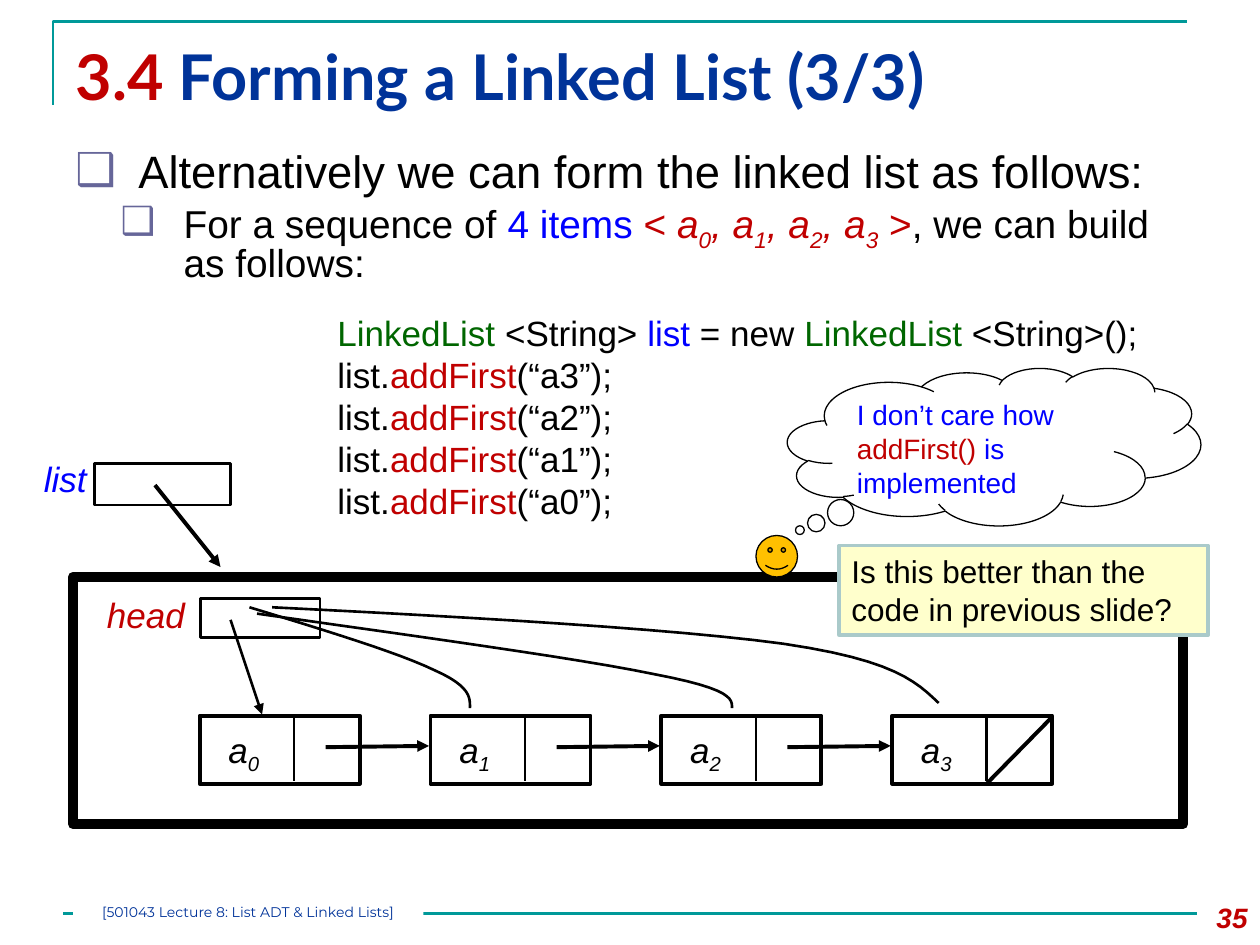
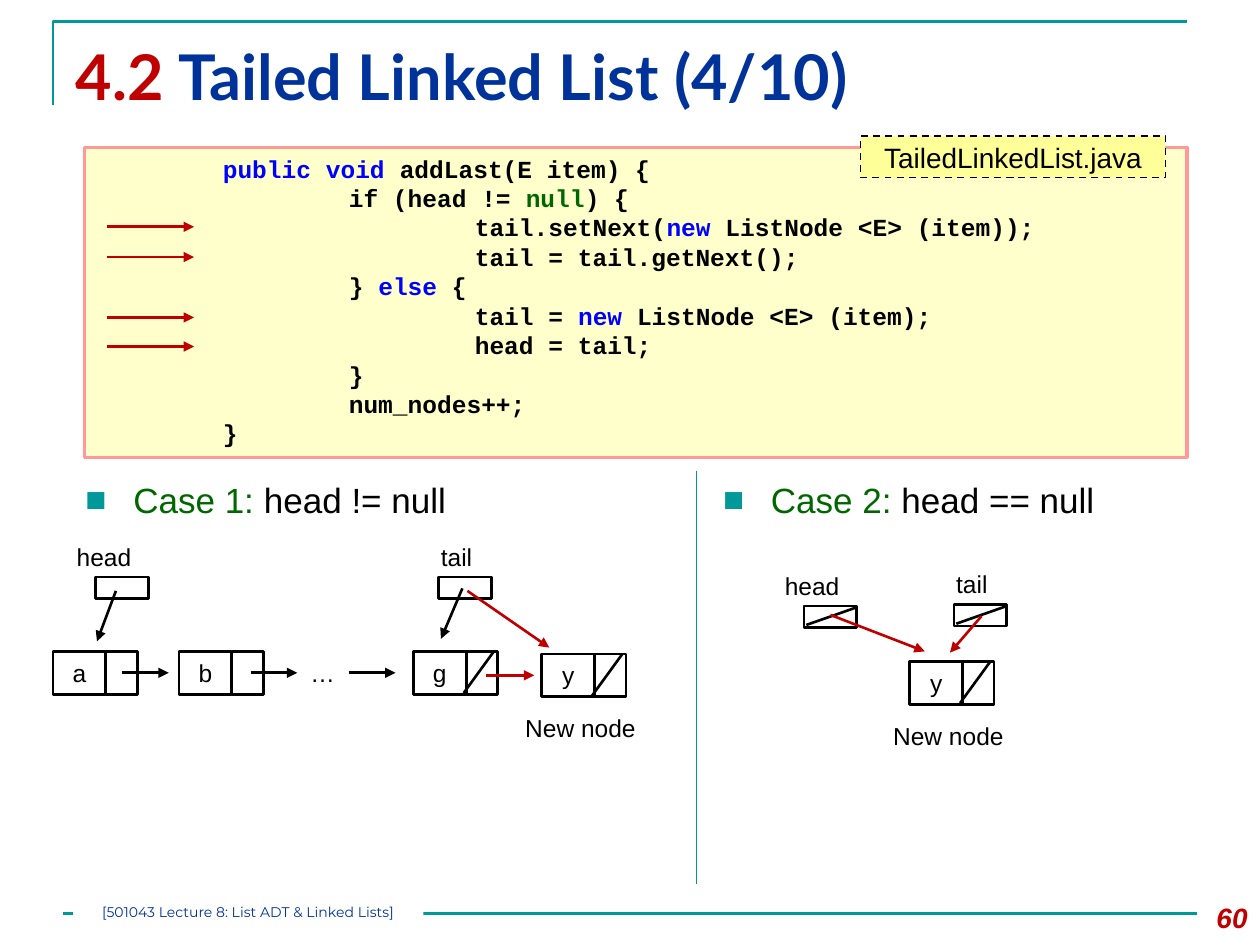
from dataclasses import dataclass

from lxml.etree import SubElement
from pptx import Presentation
from pptx.dml.color import RGBColor
from pptx.enum.dml import MSO_LINE
from pptx.enum.shapes import MSO_CONNECTOR, MSO_SHAPE
from pptx.enum.text import MSO_ANCHOR, MSO_AUTO_SIZE, PP_ALIGN
from pptx.oxml.ns import qn
from pptx.util import Inches, Pt


@dataclass(frozen=True)
class Theme:
    black: str = "000000"
    white: str = "FFFFFF"
    red: str = "C00000"
    blue: str = "0000FF"
    navy: str = "003399"
    green: str = "006600"
    teal: str = "009999"
    slate: str = "666699"
    cream: str = "FFFFCC"
    lemon: str = "FFFF99"
    pink: str = "FF9999"
    mist: str = "AACACA"
    gold: str = "FFC000"
    sans: str = "Arial"
    mono: str = "Courier New"
    head: str = "Lato"
    foot: str = "Montserrat"
    title: float = 36
    lead: float = 25.9
    sub: float = 22.2
    body: float = 20
    note: float = 18
    tag: float = 16
    small: float = 14
    tiny: float = 8


T = Theme()

# Content: a run is plain text or (text, colour, style); i = italic, s = subscript
FOOTER = "[501043 Lecture 8: List ADT & Linked Lists]"
FORM_TITLE = [("3.4 ", T.red), ("Forming a Linked List (3/3)", T.navy)]
TAIL_TITLE = [("4.2 ", T.red), ("Tailed Linked List (4/10)", T.navy)]

ITEMS = [("<", T.red)]
for num in range(4):
    ITEMS += [(", a" if num else " a", T.red, "i"), (str(num), T.red, "is")]
ITEMS += [(" >", T.red)]
POINTS = [
    ["Alternatively we can form the linked list as follows:"],
    ["For a sequence of ", ("4 items ", T.blue), *ITEMS, ", we can build as follows:"],
]
BUILD = [[("LinkedList ", T.green), "<String> ", ("list ", T.blue), "= new ",
          ("LinkedList ", T.green), "<String>();"]]
BUILD += [["list.", ("addFirst", T.red), f"(“a{num}”);"] for num in (3, 2, 1, 0)]
THOUGHT = [[("I don’t care how ", T.blue), ("addFirst() ", T.red),
            ("is implemented", T.blue)]]
ASK = "Is this better than the code in previous slide?"

CODE = [
    ["\t", ("public void ", T.blue), "addLast(E item) {"],
    ["\t\tif (head != ", ("null", T.green), ") {"],
    ["\t\t\ttail.setNext(", ("new", T.blue), " ListNode <E> (item));"],
    ["\t\t\ttail = tail.getNext();"],
    ["\t\t} ", ("else", T.blue), " {"],
    ["\t\t\ttail = ", ("new", T.blue), " ListNode <E> (item);"],
    ["\t\t\thead = tail;"],
    ["\t\t}"],
    ["\t\tnum_nodes++;"],
    ["\t}"],
]
FILE = "TailedLinkedList.java"
MARKS = [1.8, 2.04, 2.52, 2.75]  # heights of the arrows beside the code
CASES = [(0.58, 4.2, "Case 1: ", "head != null"),
         (5.64, 3.47, "Case 2: ", "head == null")]

# Old positions of the head pointer: a start, then Bezier segments
CURVES = [
    [(2.16, 4.82), [(3.75, 4.9), (5.34, 4.99), (6.22, 5.11)],
     [(7.1, 5.24), (7.27, 5.41), (7.45, 5.58)]],
    [(2.04, 4.87), [(3.3, 5.05), (4.56, 5.22), (5.19, 5.35)],
     [(5.82, 5.47), (5.81, 5.55), (5.81, 5.62)]],
    [(1.98, 4.82), [(2.57, 5), (3.16, 5.18), (3.45, 5.32)],
     [(3.74, 5.45), (3.73, 5.54), (3.73, 5.62)]],
]


# Text helpers
def ink(color):
    return RGBColor.from_string(color)


def style(run, color, size, font, bold, marks):
    run.font.size = Pt(size)
    run.font.name = font
    run.font.bold = bold
    run.font.italic = "i" in marks
    run.font.color.rgb = ink(color)
    if "s" in marks:
        run._r.get_or_add_rPr().set("baseline", "-25000")


def fill_para(para, runs, size, font=T.sans, bold=False, align=PP_ALIGN.LEFT):
    para.alignment = align
    for part in runs:
        text, color, marks = ((part, T.black) if isinstance(part, str) else part + ("",) * (3 - len(part)))[:3] \
            if not isinstance(part, str) else (part, T.black, "")
        run = para.add_run()
        run.text = text
        style(run, color, size, font, bold, marks)


def write(shape, paras, size, anchor=MSO_ANCHOR.TOP, tabs=(), **look):
    frame = shape.text_frame
    frame.word_wrap = True
    frame.auto_size = MSO_AUTO_SIZE.NONE
    frame.vertical_anchor = anchor
    for num, runs in enumerate(paras):
        para = frame.add_paragraph() if num else frame.paragraphs[0]
        if tabs:
            stops = SubElement(para._p.get_or_add_pPr(), qn("a:tabLst"))
            for stop in tabs:
                SubElement(stops, qn("a:tab"), pos=str(Inches(stop)), algn="l")
        fill_para(para, runs, size, **look)
    return shape


def bullet(para, sign, color, left, hang):
    props = para._p.get_or_add_pPr()
    props.set("marL", str(Inches(left)))
    props.set("indent", str(-Inches(hang)))
    SubElement(SubElement(props, qn("a:buClr")), qn("a:srgbClr"), val=color)
    SubElement(props, qn("a:buFont"), typeface=T.sans)
    SubElement(props, qn("a:buChar"), char=sign)


def label(slide, x, y, w, h, paras, size, **look):
    box = slide.shapes.add_textbox(*map(Inches, (x, y, w, h)))
    return write(box, paras, size, **look)


# Shape helpers
def paint(shape, fill, line, width):
    shape.shadow.inherit = False
    if fill:
        shape.fill.solid()
        shape.fill.fore_color.rgb = ink(fill)
    else:
        shape.fill.background()
    if line:
        shape.line.color.rgb = ink(line)
        shape.line.width = Pt(width)
    else:
        shape.line.fill.background()
    return shape


def box(slide, x, y, w, h, fill=None, line=T.black, width=1.5, kind=MSO_SHAPE.RECTANGLE):
    shape = slide.shapes.add_shape(kind, *map(Inches, (x, y, w, h)))
    return paint(shape, fill, line, width)


def link(slide, start, end, color=T.black, width=1.5, arrow=False):
    line = slide.shapes.add_connector(MSO_CONNECTOR.STRAIGHT, *map(Inches, start + end))
    line.line.color.rgb = ink(color)
    line.line.width = Pt(width)
    if arrow:
        SubElement(line.line._get_or_add_ln(), qn("a:tailEnd"), type="triangle")
    SubElement(line._element.spPr, qn("a:effectLst"))


def trace(slide, dots, color):
    pen = slide.shapes.build_freeform(*map(Inches, dots[0]))
    pen.add_line_segments([(Inches(x), Inches(y)) for x, y in dots[1:]], close=False)
    paint(pen.convert_to_shape(), None, color, 1.5)


def curve(slide, start, *parts, steps=12):
    dots = [start]
    for part in parts:
        knots = [dots[-1], *part]
        for step in range(1, steps + 1):
            t = step / steps
            rates = ((1 - t) ** 3, 3 * t * (1 - t) ** 2, 3 * t * t * (1 - t), t ** 3)
            dots.append(tuple(sum(r * k[axis] for r, k in zip(rates, knots))
                              for axis in (0, 1)))
    trace(slide, dots, T.black)


# Shared frame: title, rules, footer and page number
def start(deck, title, page):
    slide = deck.slides.add_slide(deck.slide_layouts[5])
    trace(slide, [(0.42, 0.83), (0.42, 0.17), (9.42, 0.17)], T.teal)
    link(slide, (0.5, 7.25), (9.5, 7.25), T.teal)
    head = slide.shapes.title
    head.left, head.top, head.width, head.height = map(Inches, (0.5, 0.25, 9, 0.86))
    write(head, [title], T.title, font=T.head, bold=True)
    label(slide, 9.33, 7.1, 0.67, 0.4, [[(str(page), T.red, "i")]], T.tag,
          bold=True, align=PP_ALIGN.RIGHT)
    foot = box(slide, 0.58, 7.17, 2.78, 0.2, T.white, None)
    frame = foot.text_frame
    frame.margin_left = frame.margin_right = frame.margin_top = frame.margin_bottom = 0
    write(foot, [[(FOOTER, T.navy)]], T.tiny, font=T.foot, align=PP_ALIGN.CENTER)
    return slide


def form_slide(deck):
    slide = start(deck, FORM_TITLE, 35)

    # Bulleted points
    shape = slide.shapes.add_textbox(*map(Inches, (0.5, 1.17, 9, 1.17)))
    frame = shape.text_frame
    frame.word_wrap = True
    frame.add_paragraph()
    for para, runs, left, size in zip(frame.paragraphs, POINTS, (0.5, 0.86), (T.lead, T.sub)):
        bullet(para, "❑", T.slate, left, 0.5)
        para.line_spacing = 0.8
        fill_para(para, runs, size)
    frame.paragraphs[1].space_before = Pt(4.4)

    # List object and its head
    box(slide, 0.58, 4.58, 8.81, 1.96, T.white, width=6)
    for path in CURVES:
        curve(slide, *path)
    label(slide, 2.58, 2.42, 6.67, 1.78, BUILD, T.body)
    box(slide, 0.75, 3.68, 1.08, 0.33, T.white)
    label(slide, 0.25, 3.58, 0.97, 0.43, [[("list", T.blue, "i")]], T.body)
    link(slide, (1.23, 3.85), (1.75, 4.5), width=2.25, arrow=True)
    box(slide, 1.59, 4.75, 0.95, 0.31)
    label(slide, 0.75, 4.66, 0.82, 0.43, [[("head", T.red, "i")]], T.body)
    link(slide, (1.83, 4.92), (2.08, 5.67), arrow=True)

    # Row of nodes
    for num in range(4):
        x = 1.585 + 1.832 * num
        box(slide, x, 5.68, 1.27, 0.54, width=2.25)
        link(slide, (x + 0.75, 5.67), (x + 0.75, 6.2))
        label(slide, x + 0.13, 5.73, 0.6, 0.43,
              [[("a", T.black, "i"), (str(num), T.black, "is")]], T.body)
        if num < 3:
            link(slide, (x + 1, 5.93), (x + 1.82, 5.92), width=2.25, arrow=True)
        else:
            link(slide, (x + 1.27, 5.69), (x + 0.75, 6.22), width=2.25)

    # Thought and question
    cloud = box(slide, 6.25, 2.92, 3.28, 1.25, T.white, width=0.75,
                kind=MSO_SHAPE.CLOUD_CALLOUT)
    cloud.adjustments[0], cloud.adjustments[1] = -0.47, 0.53
    write(cloud, THOUGHT, T.tag)
    face = box(slide, 6, 4.25, 0.33, 0.33, T.gold, width=0.75, kind=MSO_SHAPE.SMILEY_FACE)
    face.adjustments[0] = 0.05
    write(box(slide, 6.66, 4.33, 2.93, 0.71, T.cream, T.mist, 2), [[ASK]], T.note)


# Parts of the small diagrams
def node(slide, x, y, name, last=False):
    cell = box(slide, x, y, 0.42, 0.34)
    write(cell, [[name]], T.small, align=PP_ALIGN.CENTER)
    box(slide, x + 0.42, y, 0.25, 0.34)
    if last:
        link(slide, (x + 0.4, y + 0.33), (x + 0.64, y))


def fresh(slide, x, y):
    node(slide, x, y, "y", last=True)
    label(slide, x - 0.23, y + 0.42, 1.3, 0.34, [["New node"]], T.small)


def ref(slide, x, y, name, shift, null=False):
    label(slide, x - shift, y - 0.33, 0.75, 0.34, [[name]], T.small)
    box(slide, x, y, 0.42, 0.17, T.white)
    if null:
        link(slide, (x + 0.02, y + 0.15), (x + 0.42, y + 0.01))


def tail_slide(deck):
    slide = start(deck, TAIL_TITLE, 60)

    # Code with its file tag and marks
    panel = box(slide, 0.67, 1.17, 8.75, 2.46, T.cream, T.pink, 2)
    write(panel, CODE, T.small, font=T.mono, bold=True, tabs=(1, 2, 3))
    tag = box(slide, 6.83, 1.08, 2.42, 0.33, T.lemon, width=1)
    tag.line.dash_style = MSO_LINE.DASH
    write(tag, [[FILE]], T.tag, anchor=MSO_ANCHOR.MIDDLE, align=PP_ALIGN.CENTER)
    for y in MARKS:
        link(slide, (0.85, y), (1.54, y), T.red, arrow=True)

    # Case headings
    for x, w, case, test in CASES:
        head = slide.shapes.add_textbox(*map(Inches, (x, 3.75, w, 0.5)))
        bullet(head.text_frame.paragraphs[0], "■", T.teal, 0.38, 0.38)
        write(head, [[(case, T.green), test]], T.body)
    link(slide, (5.53, 3.74), (5.53, 7.02), T.teal, 0.75)

    # Case 1
    ref(slide, 0.76, 4.58, "head", 0.25)
    ref(slide, 3.48, 4.58, "tail", 0.08)
    for x, name in ((0.42, "a"), (1.42, "b"), (3.28, "g")):
        node(slide, x, 5.17, name, last=name == "g")
    label(slide, 2.32, 5.17, 0.48, 0.34, [["…"]], T.small, align=PP_ALIGN.CENTER)
    fresh(slide, 4.3, 5.19)
    for x in (0.97, 1.99, 2.77):
        link(slide, (x, 5.34), (x + 0.37, 5.34), arrow=True)
    link(slide, (0.92, 4.69), (0.77, 5.09), arrow=True)
    link(slide, (3.67, 4.67), (3.5, 5.07), arrow=True)

    # Case 2, then the new links of both cases
    ref(slide, 6.38, 4.81, "head", 0.25, null=True)
    ref(slide, 7.57, 4.8, "tail", 0.08, null=True)
    fresh(slide, 7.22, 5.25)
    for tip, end in (((3.86, 5.36), (4.24, 5.36)), ((3.71, 4.69), (4.36, 5.14)),
                     ((7.79, 4.89), (7.54, 5.18)), ((6.59, 4.88), (7.34, 5.17))):
        link(slide, tip, end, T.red, arrow=True)


def main():
    deck = Presentation()
    deck.slide_width, deck.slide_height = Inches(10), Inches(7.5)
    form_slide(deck)
    tail_slide(deck)
    deck.save("out.pptx")


if __name__ == "__main__":
    main()
